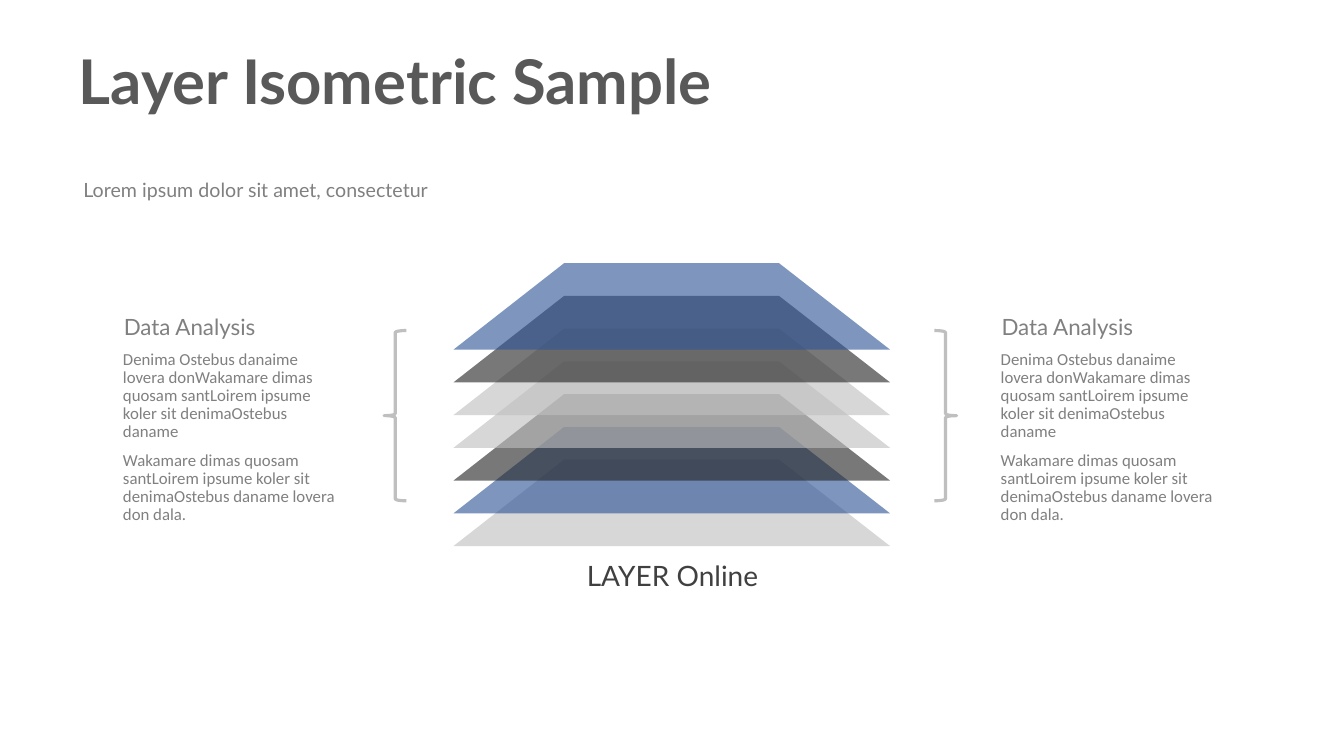
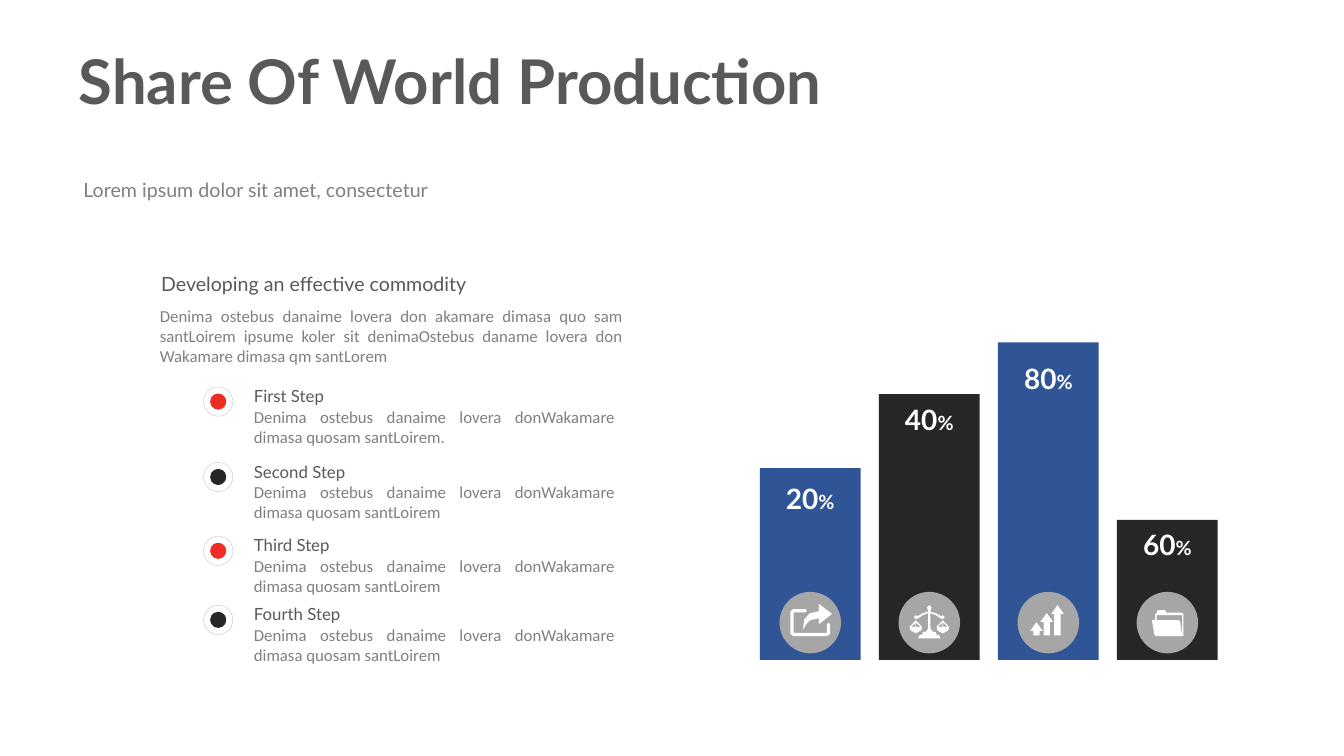
from dataclasses import dataclass

from lxml.etree import SubElement
from pptx import Presentation
from pptx.dml.color import RGBColor
from pptx.enum.shapes import MSO_SHAPE as Preset
from pptx.enum.text import MSO_ANCHOR as Anchor, MSO_AUTO_SIZE as AutoSize, PP_ALIGN as Align
from pptx.oxml.ns import qn
from pptx.util import Cm, Pt

Point = tuple[float, float]
Contour = list[Point]
Outline = list[Contour]


@dataclass(frozen=True)
class Theme:
    blue: str = "2F5597"
    black: str = "262626"
    red: str = "ED2D23"
    silver: str = "BFBFBF"
    badge: str = "A6A6A6"
    white: str = "FFFFFF"
    heading: str = "595959"
    caption: str = "404040"
    muted: str = "808080"
    display: str = "Lato"
    body: str = "Calibri"
    title_size: float = 44
    large: float = 20
    column: float = 16
    medium: float = 14
    small: float = 12


THEME = Theme()


@dataclass(frozen=True)
class Style:
    size: float
    color: str
    font: str = THEME.display
    bold: bool = False
    align: Align = Align.LEFT
    line_spacing: float | Pt | None = None
    space_before: float | None = None


TITLE = Style(THEME.title_size, THEME.heading, bold=True, line_spacing=Pt(40))
SUBTITLE = Style(THEME.medium, THEME.muted)
CAPTION = Style(THEME.large, THEME.caption, align=Align.CENTER)
COLUMN_HEAD = Style(THEME.column, THEME.muted, line_spacing=0.9, space_before=7.5)
COLUMN_BODY = Style(THEME.small, THEME.muted, THEME.body, line_spacing=0.9, space_before=7.5)
INTRO_HEAD = Style(THEME.medium, THEME.heading)
STEP_HEAD = Style(THEME.small, THEME.heading)
DETAIL = Style(THEME.small, THEME.muted, THEME.body, align=Align.JUSTIFY)
SHARE = Style(THEME.large, THEME.white, bold=True, align=Align.CENTER)


@dataclass(frozen=True)
class Box:
    left: float
    top: float
    width: float
    height: float

    def emu(self) -> list[Cm]:
        return [Cm(v) for v in (self.left, self.top, self.width, self.height)]


@dataclass(frozen=True)
class Step:
    name: str
    top: float
    color: str
    detail: str


@dataclass(frozen=True)
class Bar:
    share: str
    height: float
    label_drop: float
    color: str
    icon: list[Outline]


def mirrored(contour: Contour) -> Contour:
    return [(-x, y) for x, y in reversed(contour)]


def arrow_up(center: float, top: float) -> Outline:
    half = [(0, top), (0.16, top + 0.22), (0.08, top + 0.22), (0.08, 0.32)]
    return [[(center + x, y) for x, y in half + mirrored(half)]]


SHARE_ICON = [
    [[(-0.43, -0.34), (-0.12, -0.34), (-0.09, -0.3), (-0.12, -0.26), (-0.42, -0.26),
      (-0.42, 0.26), (0.42, 0.26), (0.42, 0.04), (0.46, 0), (0.5, 0.04),
      (0.5, 0.28), (0.43, 0.34), (-0.43, 0.34), (-0.5, 0.28), (-0.5, -0.28)]],
    [[(0.55, -0.22), (0.22, -0.47), (0.22, -0.29), (-0.02, -0.23), (-0.15, -0.08),
      (-0.19, 0.19), (-0.09, 0.03), (0, -0.06), (0.22, -0.11), (0.22, 0.04)]],
]
HALF_STAND = [
    (0, -0.44), (0.06, -0.38), (0.03, -0.31), (0.03, -0.28), (0.18, -0.23), (0.3, -0.16),
    (0.34, -0.19), (0.39, -0.14), (0.34, -0.09), (0.28, -0.11), (0.16, -0.19), (0.03, -0.24),
    (0.03, 0.14), (0.07, 0.22), (0.16, 0.24), (0.18, 0.3), (0.24, 0.31), (0.29, 0.4),
]
PAN = [
    [(0.34, -0.06), (0.5, 0.11), (0.47, 0.2), (0.34, 0.27), (0.21, 0.2), (0.18, 0.11)],
    [(0.35, 0), (0.46, 0.11), (0.35, 0.11)],
    [(0.33, 0), (0.33, 0.11), (0.22, 0.11)],
]
SCALES_ICON = [[HALF_STAND + mirrored(HALF_STAND)], PAN, [mirrored(c) for c in PAN]]
GROWTH_ICON = [arrow_up(-0.3, -0.01), arrow_up(-0.04, -0.24), arrow_up(0.23, -0.44)]
FOLDER_ICON = [[
    [(-0.39, -0.06), (-0.31, -0.06), (-0.31, -0.21), (-0.27, -0.24), (-0.25, -0.31),
     (-0.06, -0.32), (-0.02, -0.25), (0.37, -0.25), (0.4, -0.21), (0.4, 0.34),
     (-0.29, 0.34), (-0.33, 0.3)],
    [(-0.27, -0.06), (-0.27, -0.19), (0.37, -0.19), (0.37, 0.31), (0.32, -0.03), (0.28, -0.06)],
]]

LAYERS = [THEME.silver, THEME.blue, THEME.black, THEME.silver, THEME.silver, THEME.black, THEME.blue]
COLUMN_TEXT = (
    "Denima Ostebus danaime lovera donWakamare dimas quosam santLoirem ipsume koler sit denimaOstebus daname",
    "Wakamare dimas quosam santLoirem ipsume koler sit denimaOstebus daname lovera don dala.",
)
INTRO = (
    "Denima ostebus danaime lovera don akamare dimasa quo sam santLoirem ipsume koler sit "
    "denimaOstebus daname lovera don Wakamare dimasa qm santLorem"
)
STEP_TEXT = "Denima ostebus danaime lovera donWakamare dimasa quosam santLoirem"
STEPS = [
    Step("First Step", 9.6, THEME.red, STEP_TEXT + "."),
    Step("Second Step", 11.5, THEME.black, STEP_TEXT),
    Step("Third Step", 13.36, THEME.red, STEP_TEXT),
    Step("Fourth Step", 15.1, THEME.black, STEP_TEXT),
]
BARS = [
    Bar("20", 4.83, 0.2, THEME.blue, SHARE_ICON),
    Bar("40", 6.7, 0.08, THEME.black, SCALES_ICON),
    Bar("80", 8, 0.36, THEME.blue, GROWTH_ICON),
    Bar("60", 3.53, 0.08, THEME.black, FOLDER_ICON),
]


def format_paragraph(paragraph, style: Style) -> None:
    paragraph.alignment = style.align
    if style.line_spacing is not None:
        paragraph.line_spacing = style.line_spacing
    if style.space_before is not None:
        paragraph.space_before = Pt(style.space_before)
    font = paragraph.font
    font.name, font.size, font.bold = style.font, Pt(style.size), style.bold
    font.color.rgb = RGBColor.from_string(style.color)


def add_text(slide, box: Box, style: Style, *lines: str, inset: bool = True):
    frame = slide.shapes.add_textbox(*box.emu()).text_frame
    frame.word_wrap = True
    if not inset:
        frame.margin_left = frame.margin_top = frame.margin_right = frame.margin_bottom = 0
    for index, line in enumerate(lines):
        paragraph = frame.add_paragraph() if index else frame.paragraphs[0]
        paragraph.text = line
        format_paragraph(paragraph, style)
    return frame


def paint(shape, fill: str | None = None, line: str | None = None, weight: float = 0.75) -> None:
    shape.shadow.inherit = False
    if fill:
        shape.fill.solid()
        shape.fill.fore_color.rgb = RGBColor.from_string(fill)
    else:
        shape.fill.background()
    if line:
        shape.line.color.rgb = RGBColor.from_string(line)
        shape.line.width = Pt(weight)
    else:
        shape.line.fill.background()


def add_circle(slide, x: float, y: float, size: float, **look) -> None:
    box = Box(x - size / 2, y - size / 2, size, size)
    paint(slide.shapes.add_shape(Preset.OVAL, *box.emu()), **look)


def add_outline(slide, x: float, y: float, outline: Outline, fill: str):
    placed = [[(Cm(x + dx), Cm(y + dy)) for dx, dy in contour] for contour in outline]
    builder = slide.shapes.build_freeform(*placed[0][0])
    for index, (start, *others) in enumerate(placed):
        if index:
            builder.move_to(*start)
        builder.add_line_segments(others, close=True)
    shape = builder.convert_to_shape()
    paint(shape, fill)
    return shape


def set_opacity(shape, percent: int) -> None:
    color = shape.element.spPr.find(f".//{qn('a:srgbClr')}")
    SubElement(color, qn("a:alpha"), val=str(percent * 1000))


def add_titled_slide(deck, heading: str):
    slide = deck.slides.add_slide(deck.slide_layouts[5])
    title = slide.shapes.title
    title.left, title.top, title.width, title.height = Box(1.73, 1.4, 22.5, 1.68).emu()
    frame = title.text_frame
    frame.text = heading
    frame.auto_size = AutoSize.NONE
    frame.vertical_anchor = Anchor.TOP
    format_paragraph(frame.paragraphs[0], TITLE)
    add_text(slide, Box(1.85, 4.37, 10.8, 1.45), SUBTITLE, "Lorem ipsum dolor sit amet, consectetur")
    return slide


def build_layers(deck) -> None:
    slide = add_titled_slide(deck, "Layer Isometric Sample")
    top, pitch = 6.63, 0.825
    sheet = [[(2.79, 0), (8.2, 0), (11, 2.18), (0, 2.18)]]
    for index, color in enumerate(LAYERS):
        level = len(LAYERS) - 1 - index
        set_opacity(add_outline(slide, 11.43, top + level * pitch, sheet, color), 62)
    for brace, left in ((Preset.LEFT_BRACE, 9.68), (Preset.RIGHT_BRACE, 23.55)):
        shape = slide.shapes.add_shape(brace, *Box(left, 8.33, 0.56, 4.29).emu())
        paint(shape, line=THEME.silver, weight=2.25)
    for left in (3.1, 25.22):
        add_text(slide, Box(left + 0.02, 7.98, 5.4, 0.74), COLUMN_HEAD, "Data Analysis", inset=False)
        add_text(slide, Box(left, 8.84, 5.4, 4.45), COLUMN_BODY, *COLUMN_TEXT, inset=False)
    add_text(slide, Box(13.51, 13.94, 6.88, 1.12), CAPTION, "LAYER Online")


def add_step(slide, step: Step) -> None:
    left, center = 6.15, step.top + 0.52
    add_text(slide, Box(left, step.top, 5.8, 0.76), STEP_HEAD, step.name)
    add_text(slide, Box(left, step.top + 0.52, 9.6, 1.27), DETAIL, step.detail)
    add_circle(slide, 5.5, center, 0.38, fill=step.color, line=step.color)
    add_circle(slide, 5.5, center, 0.74, line=THEME.silver, weight=0.25)


def add_bar(slide, left: float, bar: Bar) -> None:
    width, base, badge_y = 2.54, 16.63, 15.69
    top, center = base - bar.height, left + width / 2
    paint(slide.shapes.add_shape(Preset.RECTANGLE, *Box(left, top, width, bar.height).emu()), bar.color)
    add_circle(slide, center, badge_y, 1.55, fill=THEME.badge)
    for outline in bar.icon:
        add_outline(slide, center, badge_y, outline, THEME.white)
    frame = add_text(slide, Box(left, top + bar.label_drop, width, 1.12), SHARE, bar.share)
    percent = frame.paragraphs[0].add_run()
    percent.text = "%"
    percent.font.size = Pt(THEME.medium)


def build_production(deck) -> None:
    slide = add_titled_slide(deck, "Share Of World Production")
    add_text(slide, Box(3.81, 6.73, 10.57, 0.86), INTRO_HEAD, "Developing an effective commodity")
    add_text(slide, Box(3.78, 7.57, 12.17, 1.8), DETAIL, INTRO)
    for step in STEPS:
        add_step(slide, step)
    for index, bar in enumerate(BARS):
        add_bar(slide, 19.15 + 3 * index, bar)


def main() -> None:
    deck = Presentation()
    deck.slide_width, deck.slide_height = Cm(33.87), Cm(19.05)
    build_layers(deck)
    build_production(deck)
    deck.save("out.pptx")


if __name__ == "__main__":
    main()
